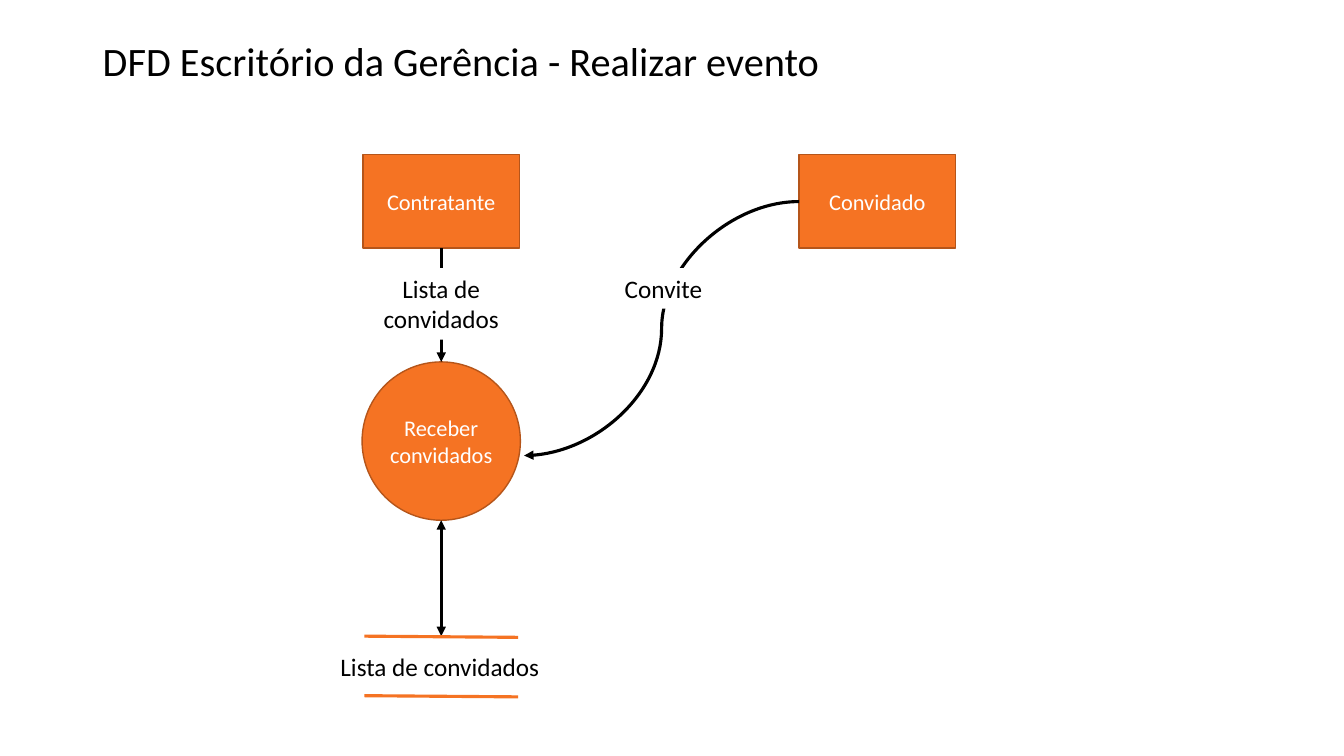
import pptx
import pptx.util
from lxml import etree
from pptx.dml.color import RGBColor
from pptx.enum.shapes import MSO_CONNECTOR, MSO_SHAPE
from pptx.enum.text import MSO_ANCHOR, PP_ALIGN
from pptx.oxml.ns import qn
from pptx.util import Cm, Pt

ORANGE = RGBColor(0xF5, 0x73, 0x23)
RUST = RGBColor(0xB5, 0x55, 0x1A)
BLACK = RGBColor(0, 0, 0)
WHITE = RGBColor(255, 255, 255)
FONT = "Calibri"

# Lengths in cm
TITLE = "DFD Escritório da Gerência - Realizar evento"
AXIS = 11.12  # centre line of the main flow
GUEST_X = 22.11
BOX_W, BOX_H, BOX_TOP = 3.94, 2.36, 3.89
CIRCLE, CIRCLE_TOP = 3.99, 9.12
LABEL_W, LABEL_TOP = 4.22, 6.76
STORE_W, STORE_TOP, STORE_H = 3.87, 16.03, 1.5

# text, kind, centre x, top, width, height
ENTITIES = [
    ("Convidado", MSO_SHAPE.RECTANGLE, GUEST_X, BOX_TOP, BOX_W, BOX_H),
    ("Contratante", MSO_SHAPE.RECTANGLE, AXIS, BOX_TOP, BOX_W, BOX_H),
    ("Receber convidados", MSO_SHAPE.OVAL, AXIS, CIRCLE_TOP, CIRCLE, CIRCLE),
]
# kind, start, end, arrowhead ends
FLOWS = [
    (MSO_CONNECTOR.CURVE, (GUEST_X - BOX_W / 2, 5.08), (13.21, 11.48), ["tailEnd"]),
    (MSO_CONNECTOR.STRAIGHT, (AXIS, BOX_TOP + BOX_H), (AXIS, CIRCLE_TOP), ["tailEnd"]),
    (MSO_CONNECTOR.STRAIGHT, (AXIS, CIRCLE_TOP + CIRCLE), (AXIS, STORE_TOP),
     ["headEnd", "tailEnd"]),
]
# text, centre x, height
LABELS = [("Convite", 16.72, 1.02), ("Lista de convidados", AXIS, 1.8)]
STORE = "Lista de convidados"


def write(s, text, size, color, align=PP_ALIGN.CENTER, anchor=MSO_ANCHOR.MIDDLE):
    tf = s.text_frame
    tf.word_wrap = True
    tf.vertical_anchor = anchor
    p = tf.paragraphs[0]
    p.alignment = align
    r = p.add_run()
    r.text = text
    r.font.name, r.font.size = FONT, Pt(size)
    r.font.color.rgb = color
    return tf


def add_block(kind, center, top, width, height, fill, line=None):
    s = sp.add_shape(kind, Cm(center - width / 2), Cm(top), Cm(width), Cm(height))
    s.shadow.inherit = False
    s.fill.solid()
    s.fill.fore_color.rgb = fill
    if line is None:
        s.line.fill.background()
    else:
        s.line.color.rgb = line
        s.line.width = Pt(1)
    return s


def add_line(kind, start, end, color, heads=()):
    c = sp.add_connector(kind, *(Cm(v) for v in start + end))
    c.line.color.rgb = color
    c.line.width = Pt(2.25)
    ln = c.line._get_or_add_ln()
    for head in heads:
        etree.SubElement(ln, qn("a:" + head), type="triangle")
    etree.SubElement(c._element.spPr, qn("a:effectLst"))


prs = pptx.Presentation()
prs.slide_width, prs.slide_height = Cm(33.87), Cm(19.05)
sp = prs.slides.add_slide(prs.slide_layouts[6]).shapes

title = sp.add_textbox(Cm(2.34), Cm(1.02), Cm(29.21), Cm(1.17))
write(title, TITLE, 28.8, BLACK, PP_ALIGN.LEFT).paragraphs[0].line_spacing = 0.9

for text, kind, *place in ENTITIES:
    tf = write(add_block(kind, *place, ORANGE, RUST), text, 16, WHITE)
    tf.margin_left = tf.margin_right = 0

for kind, start, end, heads in FLOWS:
    add_line(kind, start, end, BLACK, heads)

for text, center, height in LABELS:
    s = add_block(MSO_SHAPE.RECTANGLE, center, LABEL_TOP, LABEL_W, height, WHITE)
    write(s, text, 18, BLACK, anchor=MSO_ANCHOR.TOP)

for y in (STORE_TOP, STORE_TOP + STORE_H):
    add_line(MSO_CONNECTOR.STRAIGHT, (AXIS - STORE_W / 2, y),
             (AXIS + STORE_W / 2, y + 0.03), ORANGE)
store = sp.add_textbox(Cm(8.33), Cm(16.28), Cm(5.59), Cm(1.02))
write(store, STORE, 18, BLACK, PP_ALIGN.LEFT, MSO_ANCHOR.TOP).word_wrap = False

prs.save("out.pptx")
